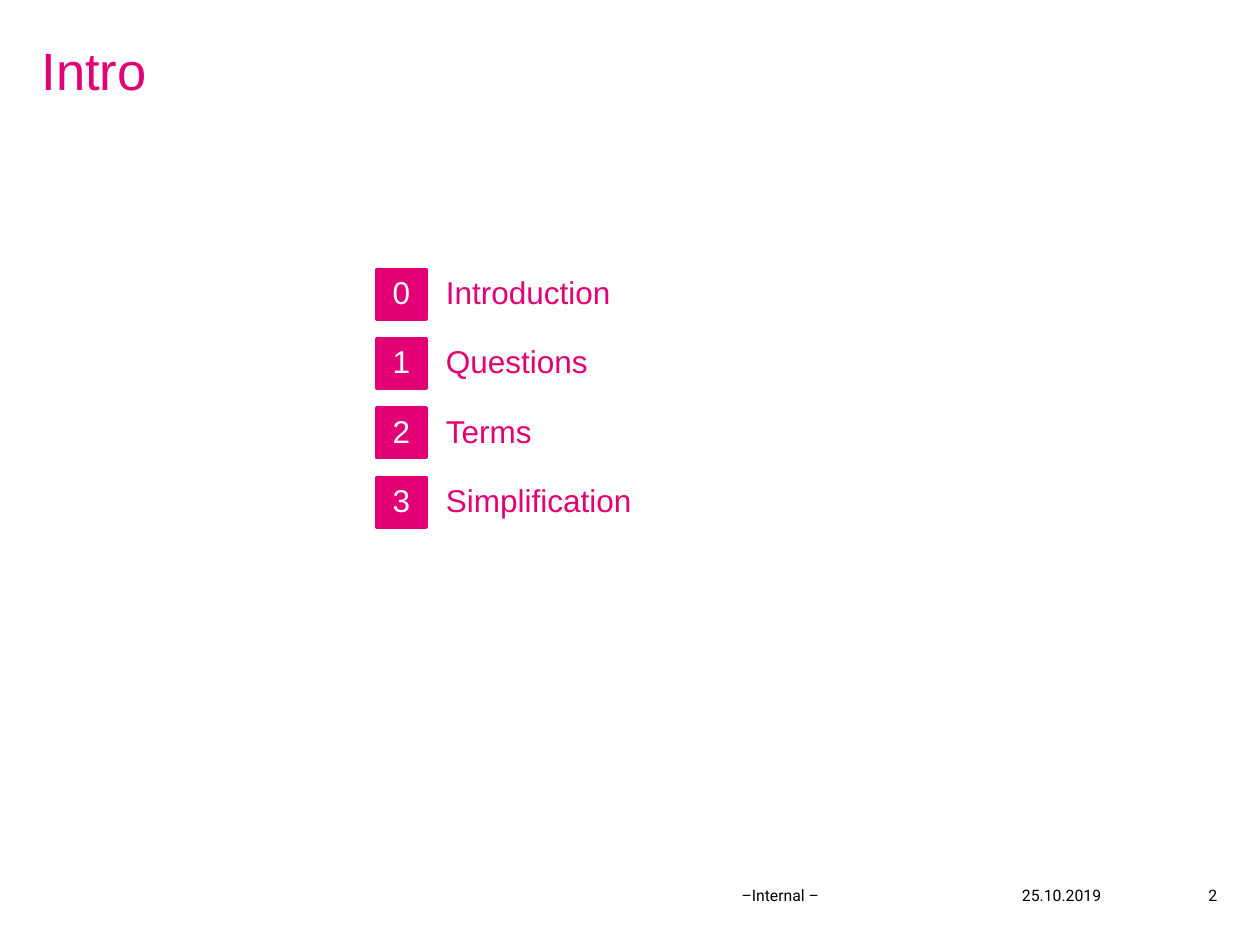
from pptx import Presentation
from pptx.dml.color import RGBColor
from pptx.enum.shapes import MSO_SHAPE
from pptx.enum.text import MSO_ANCHOR, PP_ALIGN
from pptx.util import Inches, Pt

COLORS = {"magenta": "E20074", "white": "FFFFFF", "black": "000000"}


def set_text(shape, text, size, font, color, align, anchor, inset=0, wrap=True):
    frame = shape.text_frame
    frame.text = text
    frame.word_wrap = wrap
    frame.vertical_anchor = anchor
    frame.margin_left = frame.margin_right = Inches(inset)
    frame.margin_top = frame.margin_bottom = Inches(inset)
    paragraph = frame.paragraphs[0]
    paragraph.alignment = align
    run_font = paragraph.runs[0].font
    run_font.size = Pt(size)
    run_font.name = font
    run_font.color.rgb = RGBColor.from_string(COLORS[color])
    return paragraph


def style_agenda(paragraph):
    paragraph.line_spacing = 0.9
    paragraph.space_before = Pt(4)


prs = Presentation()
prs.slide_width, prs.slide_height = Inches(10), Inches(7.5)
slide = prs.slides.add_slide(prs.slide_layouts[5])

# Title
title = slide.shapes.title
title.left, title.top = Inches(0.33), Inches(0.36)
title.width, title.height = Inches(9.29), Inches(0.47)
heading = set_text(title, "Intro", 30, "Arial", "magenta", PP_ALIGN.LEFT, MSO_ANCHOR.TOP)
heading.line_spacing = 0.9

# Footer: date, classification, page number
footer = [
    ("25.10.2019", 7.44, 1.97, PP_ALIGN.CENTER),
    ("–Internal –", 2.8, 3.7, PP_ALIGN.RIGHT),
    ("2", 9.34, 0.32, PP_ALIGN.RIGHT),
]
for text, left, width, align in footer:
    note = slide.shapes.add_textbox(Inches(left), Inches(7.03), Inches(width), Inches(0.15))
    set_text(note, text, 9, "Roboto", "black", align, MSO_ANCHOR.MIDDLE)

# Agenda: numbered square and topic on each row
TOP, PITCH, SIDE = 2.14, 0.55, 0.39
for number, topic in enumerate(["Introduction", "Questions", "Terms", "Simplification"]):
    top = Inches(TOP + number * PITCH)
    square = slide.shapes.add_shape(
        MSO_SHAPE.RECTANGLE, Inches(2.99), top, Inches(SIDE), Inches(SIDE))
    square.shadow.inherit = False
    square.fill.solid()
    square.fill.fore_color.rgb = RGBColor.from_string(COLORS["magenta"])
    square.line.color.rgb = RGBColor.from_string(COLORS["magenta"])
    square.line.width = Pt(2.25)
    style_agenda(set_text(square, str(number), 18, "Arial", "white",
                          PP_ALIGN.CENTER, MSO_ANCHOR.MIDDLE, 0.08, False))

    label = slide.shapes.add_textbox(Inches(3.46), top, Inches(4.33), Inches(SIDE))
    style_agenda(set_text(label, topic, 18, "Arial", "magenta",
                          PP_ALIGN.LEFT, MSO_ANCHOR.MIDDLE, 0.08))

prs.save("out.pptx")
